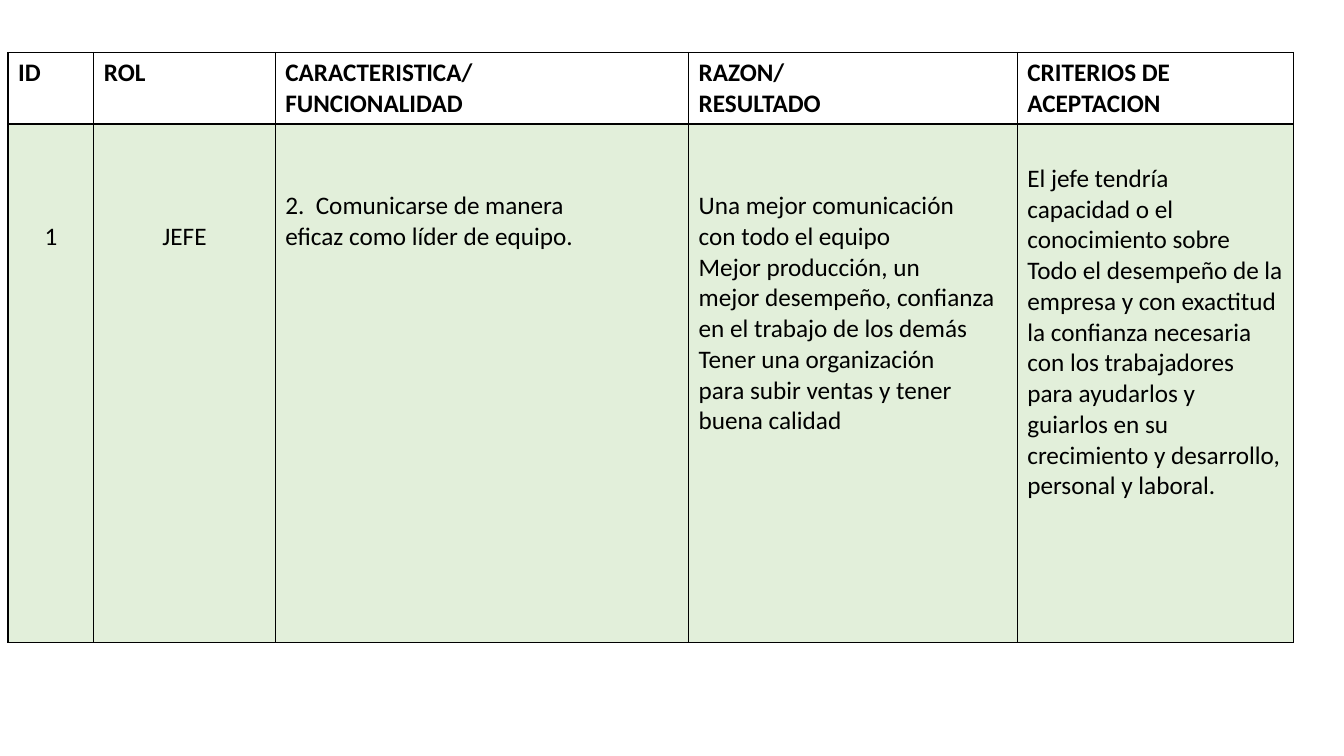
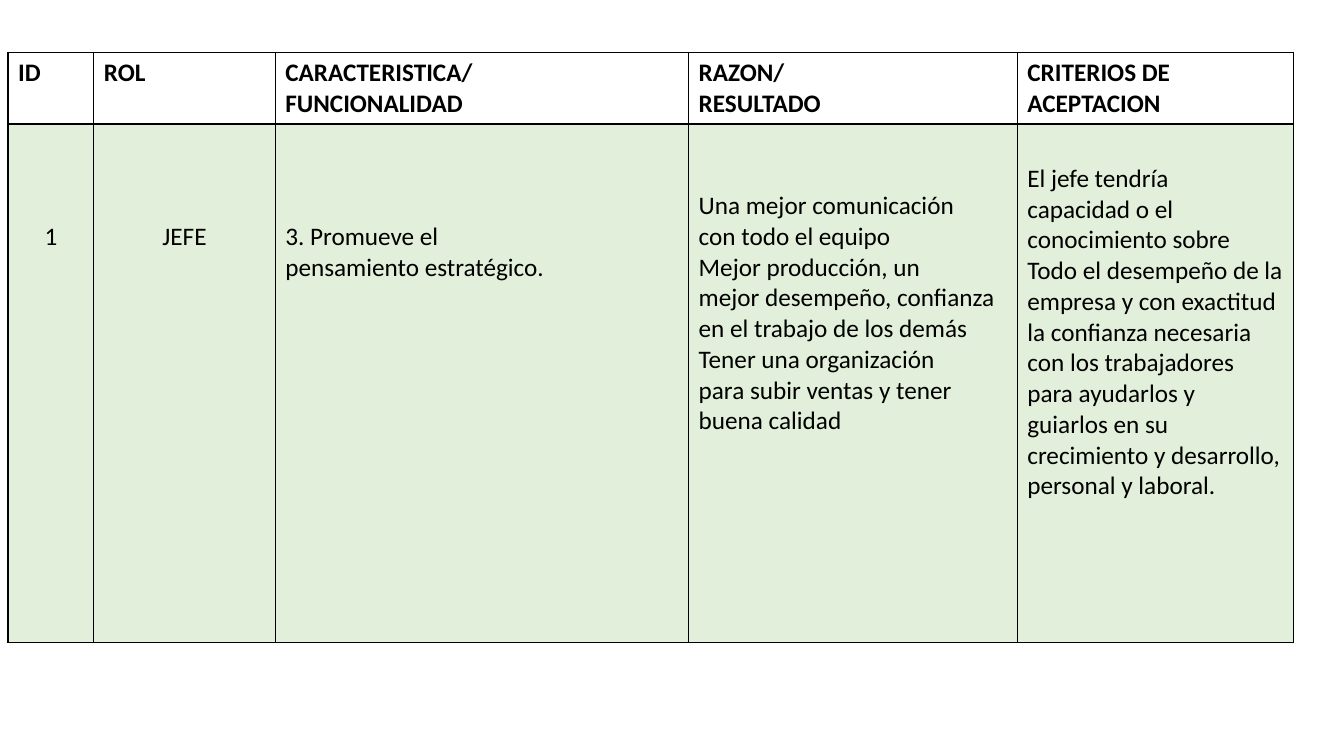
from dataclasses import dataclass

from lxml.etree import SubElement
from pptx import Presentation
from pptx.dml.color import RGBColor
from pptx.enum.text import PP_ALIGN
from pptx.oxml.ns import qn
from pptx.util import Pt

# Lengths are px, 100 to the inch
PX = 9144
NON_BREAKING_SPACE = chr(160)  # written as ~ in the content


@dataclass(frozen=True)
class Theme:
    font: str = "Calibri"
    text_size: int = 18
    text_color: str = "000000"
    border_color: str = "000000"
    border_width: int = 1
    body_fill: str = "E2EFDA"


THEME = Theme()

# Content
HEADERS = [
    ["ID"],
    ["ROL"],
    ["CARACTERISTICA/", "FUNCIONALIDAD"],
    ["RAZON/", "RESULTADO"],
    ["CRITERIOS DE ACEPTACION"],
]
REASONS = [
    "Una mejor comunicación con~todo el equipo",
    "Mejor producción, un mejor~desempeño, confianza en el~trabajo de los demás",
    "Tener una organización para~subir ventas y tener buena~calidad",
]
CRITERIA = [
    "El jefe tendría capacidad~o el conocimiento sobre",
    "Todo el desempeño de~la empresa y con~exactitud la confianza~necesaria "
    "con los~trabajadores",
    "para ayudarlos y guiarlos~en su crecimiento y~desarrollo, personal y~laboral.",
]
# One slide each: feature text and its distance from the top of the row
FEATURES = [
    ("2.~ Comunicarse de manera eficaz~como líder de equipo.", 61),
    ("3. Promueve el pensamiento~estratégico.", 92),
]

# Layout
SLIDE_WIDTH, SLIDE_HEIGHT = 1333, 750
TABLE_LEFT, TABLE_TOP = 8, 52
COLUMN_WIDTHS = [85, 180, 410, 326, 274]
ROW_HEIGHTS = [71, 514]
CELL_MARGIN = 5


def add_borders(cell):
    properties = cell._tc.get_or_add_tcPr()
    for side in ("lnL", "lnR", "lnT", "lnB"):
        line = SubElement(properties, qn(f"a:{side}"), w=str(Pt(THEME.border_width)))
        fill = SubElement(line, qn("a:solidFill"))
        SubElement(fill, qn("a:srgbClr"), val=THEME.border_color)


def fill_cell(cell, lines, offset=0, bold=False, centered=False, fill=None):
    add_borders(cell)
    if fill:
        cell.fill.solid()
        cell.fill.fore_color.rgb = RGBColor.from_string(fill)
    else:
        cell.fill.background()
    cell.margin_top = (CELL_MARGIN + offset) * PX
    cell.text_frame.text = "\n".join(lines).replace("~", NON_BREAKING_SPACE)
    for paragraph in cell.text_frame.paragraphs:
        paragraph.alignment = PP_ALIGN.CENTER if centered else PP_ALIGN.LEFT
        for run in paragraph.runs:
            run.font.name = THEME.font
            run.font.size = Pt(THEME.text_size)
            run.font.bold = bold
            run.font.color.rgb = RGBColor.from_string(THEME.text_color)


def add_story_slide(presentation, feature, feature_offset):
    slide = presentation.slides.add_slide(presentation.slide_layouts[6])
    table = slide.shapes.add_table(
        len(ROW_HEIGHTS), len(COLUMN_WIDTHS), TABLE_LEFT * PX, TABLE_TOP * PX,
        sum(COLUMN_WIDTHS) * PX, sum(ROW_HEIGHTS) * PX,
    ).table
    table.first_row = table.horz_banding = False
    for column, width in zip(table.columns, COLUMN_WIDTHS):
        column.width = width * PX
    for row, height in zip(table.rows, ROW_HEIGHTS):
        row.height = height * PX

    # Header row
    for index, lines in enumerate(HEADERS):
        fill_cell(table.cell(0, index), lines, bold=True)

    # Story row: lines, distance from the top, centered
    story = [
        (["1"], 92, True),
        (["JEFE"], 92, True),
        ([feature], feature_offset, False),
        (REASONS, 61, False),
        (CRITERIA, 34, False),
    ]
    for index, (lines, offset, centered) in enumerate(story):
        fill_cell(table.cell(1, index), lines, offset,
                  centered=centered, fill=THEME.body_fill)


def main():
    presentation = Presentation()
    presentation.slide_width = SLIDE_WIDTH * PX
    presentation.slide_height = SLIDE_HEIGHT * PX
    for feature, offset in FEATURES:
        add_story_slide(presentation, feature, offset)
    presentation.save("out.pptx")


if __name__ == "__main__":
    main()
